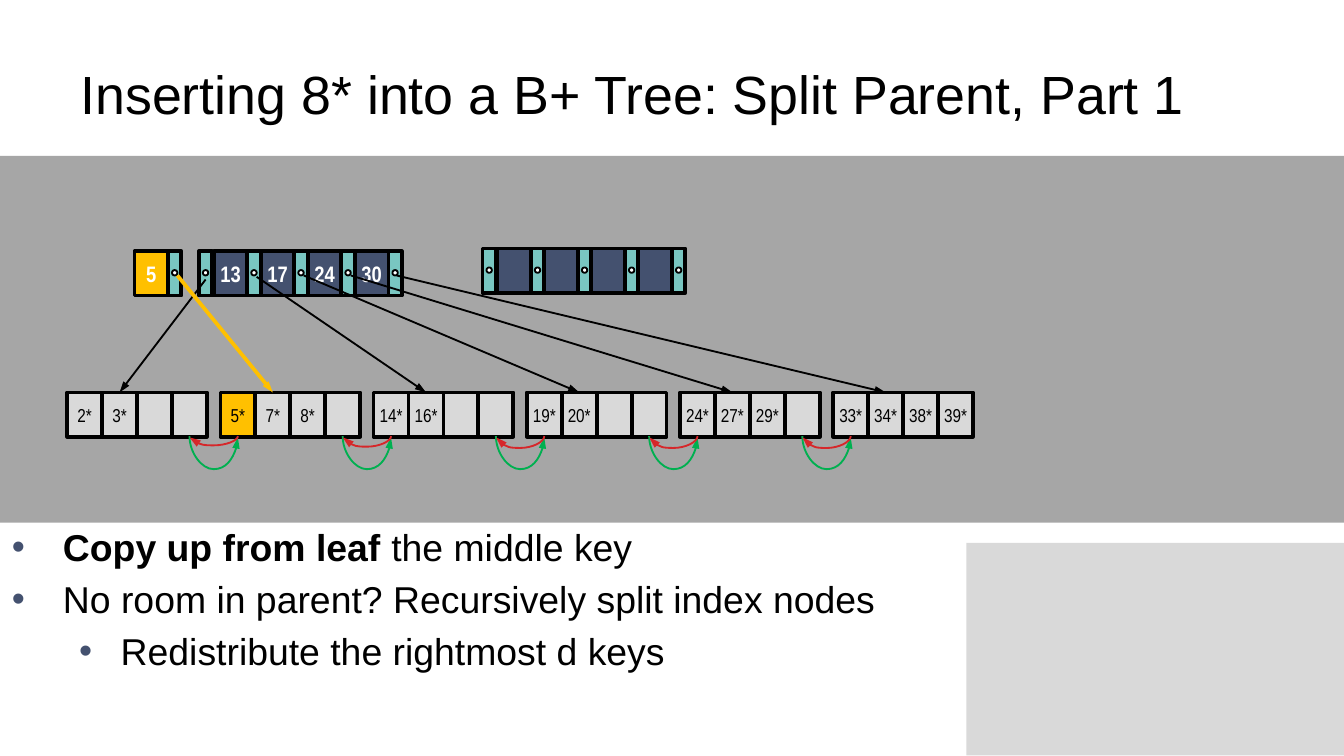
from lxml.etree import SubElement
from pptx import Presentation
from pptx.dml.color import RGBColor
from pptx.enum.shapes import MSO_CONNECTOR as Link, MSO_SHAPE as Shape
from pptx.enum.text import MSO_ANCHOR as Anchor, PP_ALIGN as Align
from pptx.oxml.ns import qn
from pptx.util import Inches, Pt

hex_color = RGBColor.from_string

deck = Presentation()
deck.slide_width = Inches(10)
deck.slide_height = deck.slide_width * 9 // 16
page = deck.slides.add_slide(deck.slide_layouts[6])


def add_box(kind, left, top, width, height, fill, line=0, text="", size=10, color="000000", bold=False):
    box = page.shapes.add_shape(kind, Inches(left), Inches(top), Inches(width), Inches(height))
    box.shadow.inherit = False
    box.fill.solid()
    box.fill.fore_color.rgb = hex_color(fill)
    if line:
        box.line.color.rgb = hex_color("000000")
        box.line.width = Pt(line)
    else:
        box.line.fill.background()
    if text:
        frame = box.text_frame
        frame.margin_left = frame.margin_right = 0
        frame.vertical_anchor = Anchor.MIDDLE
        para = frame.paragraphs[0]
        para.text = text
        para.alignment = Align.CENTER
        para.font.name, para.font.size, para.font.bold = "Arial Narrow", Pt(size), bold
        para.font.color.rgb = hex_color(color)
    return box


def add_arrow(kind, start, end, color, width):
    arrow = page.shapes.add_connector(kind, *[Inches(value) for value in (*start, *end)])
    arrow.line.color.rgb = hex_color(color)
    arrow.line.width = Pt(width)
    SubElement(arrow.line._get_or_add_ln(), qn("a:tailEnd"), type="triangle", w="sm")
    SubElement(arrow._element.spPr, qn("a:effectLst"))
    return arrow


add_box(Shape.RECTANGLE, 7.19, 4.04, 2.81, 1.58, "D9D9D9")
add_box(Shape.RECTANGLE, 0, 1.16, 10, 2.73, "A6A6A6")

title = page.shapes.add_textbox(Inches(0.5), Inches(0.23), Inches(9), Inches(0.93))
title.text_frame.word_wrap = True
title.text_frame.vertical_anchor = Anchor.MIDDLE
para = title.text_frame.paragraphs[0]
para.text = "Inserting 8* into a B+ Tree: Split Parent, Part 1"
para.font.name, para.font.size = "Arial", Pt(28.8)
para.font.color.rgb = hex_color("000000")

key_width, pointer_width, row_height = 0.25, 0.1, 0.33
index_nodes = [
    (0.9, 1.87, ["5"], "FFC000", False),
    (1.49, 1.87, ["13", "17", "24", "30"], "44516F", True),
    (3.6, 1.85, ["", "", "", ""], "44516F", True),
]
for left, top, keys, fill, has_first_pointer in index_nodes:
    pitch = key_width + pointer_width
    for column, key in enumerate(keys):
        add_box(Shape.RECTANGLE, left + pointer_width + column * pitch, top, key_width, row_height,
                fill, 2, key, 12, "FFFFFF", True)
    for column in range(0 if has_first_pointer else 1, len(keys) + 1):
        pointer = left + column * pitch - (0 if column else 0.01)
        add_box(Shape.RECTANGLE, pointer, top, pointer_width, row_height, "79C6C1", 2)
        add_box(Shape.OVAL, pointer + 0.03, top + 0.14, 0.04, 0.04, "FFFFFF", 1)

leaf_left, leaf_top, leaf_pitch, cell_width = 0.5, 2.92, 1.14, 0.26
leaves = [
    ["2*", "3*", "", ""],
    ["5*", "7*", "8*", ""],
    ["14*", "16*", "", ""],
    ["19*", "20*", "", ""],
    ["24*", "27*", "29*", ""],
    ["33*", "34*", "38*", "39*"],
]
targets = []
for number, entries in enumerate(leaves):
    cells = [
        add_box(Shape.RECTANGLE, leaf_left + number * leaf_pitch + column * cell_width, leaf_top,
                cell_width, row_height, "FFC000" if entry == "5*" else "D9D9D9", 2, entry)
        for column, entry in enumerate(entries)
    ]
    targets.append(cells[1])

starts = [(1.53, 2.08), (1.32, 2.05), (1.91, 2.06), (2.26, 2.05), (2.61, 2.05), (2.95, 2.05)]
for number, (start, target) in enumerate(zip(starts, targets)):
    color, width = ("FFC000", 2) if number == 1 else ("000000", 1)
    arrow = add_arrow(Link.STRAIGHT, start, (start[0], leaf_top), color, width)
    arrow.end_connect(target, 0)

thin, span_width = 0.01, leaf_pitch - 3 * cell_width
middle_y = leaf_top + row_height
for number, red_depth in enumerate([0.07, 0.08, 0.09, 0.09, 0.09]):
    middle_x = leaf_left + number * leaf_pitch + 3.5 * cell_width + span_width / 2
    for color, depth, turn in [("00B050", 0.25, 270), ("D6272A", red_depth, 90)]:
        curve = add_arrow(Link.CURVE, (middle_x - thin / 2, middle_y - span_width / 2),
                          (middle_x + thin / 2, middle_y + span_width / 2), color, 1)
        frame = curve._element.spPr.find(qn("a:xfrm"))
        frame.set("rot", str(turn * 60000))
        if turn == 270:
            frame.set("flipH", "1")
        guides = curve._element.spPr.find(qn("a:prstGeom")).find(qn("a:avLst"))
        SubElement(guides, qn("a:gd"), name="adj1", fmla=f"val {round(depth / thin * 100000)}")

notes = page.shapes.add_textbox(Inches(-0.01), Inches(3.85), Inches(9), Inches(1.77))
notes.text_frame.word_wrap = True
points = [
    (0, 0.38, 0.38, [("Copy up from leaf ", True), ("the middle key", False)]),
    (0, 0.38, 0.38, [("No room in parent? Recursively split index nodes", False)]),
    (1, 0.81, 0.31, [("Redistribute the rightmost d keys", False)]),
]
for number, (level, margin, hanging, pieces) in enumerate(points):
    para = notes.text_frame.paragraphs[0] if number == 0 else notes.text_frame.add_paragraph()
    para.level = level
    para.space_before = Pt(4)
    para.font.name, para.font.size = "Arial", Pt(20)
    para.font.color.rgb = hex_color("000000")
    for text, bold in pieces:
        span = para.add_run()
        span.text = text
        span.font.bold = bold
    settings = para._p.get_or_add_pPr()
    settings.set("marL", str(Inches(margin)))
    settings.set("indent", str(-Inches(hanging)))
    bullet_color = SubElement(settings, qn("a:buClr"))
    SubElement(bullet_color, qn("a:srgbClr"), val="44516F")
    SubElement(settings, qn("a:buFont"), typeface="Arial")
    SubElement(settings, qn("a:buChar"), char="•")
    settings.append(settings.find(qn("a:defRPr")))

deck.save("out.pptx")
